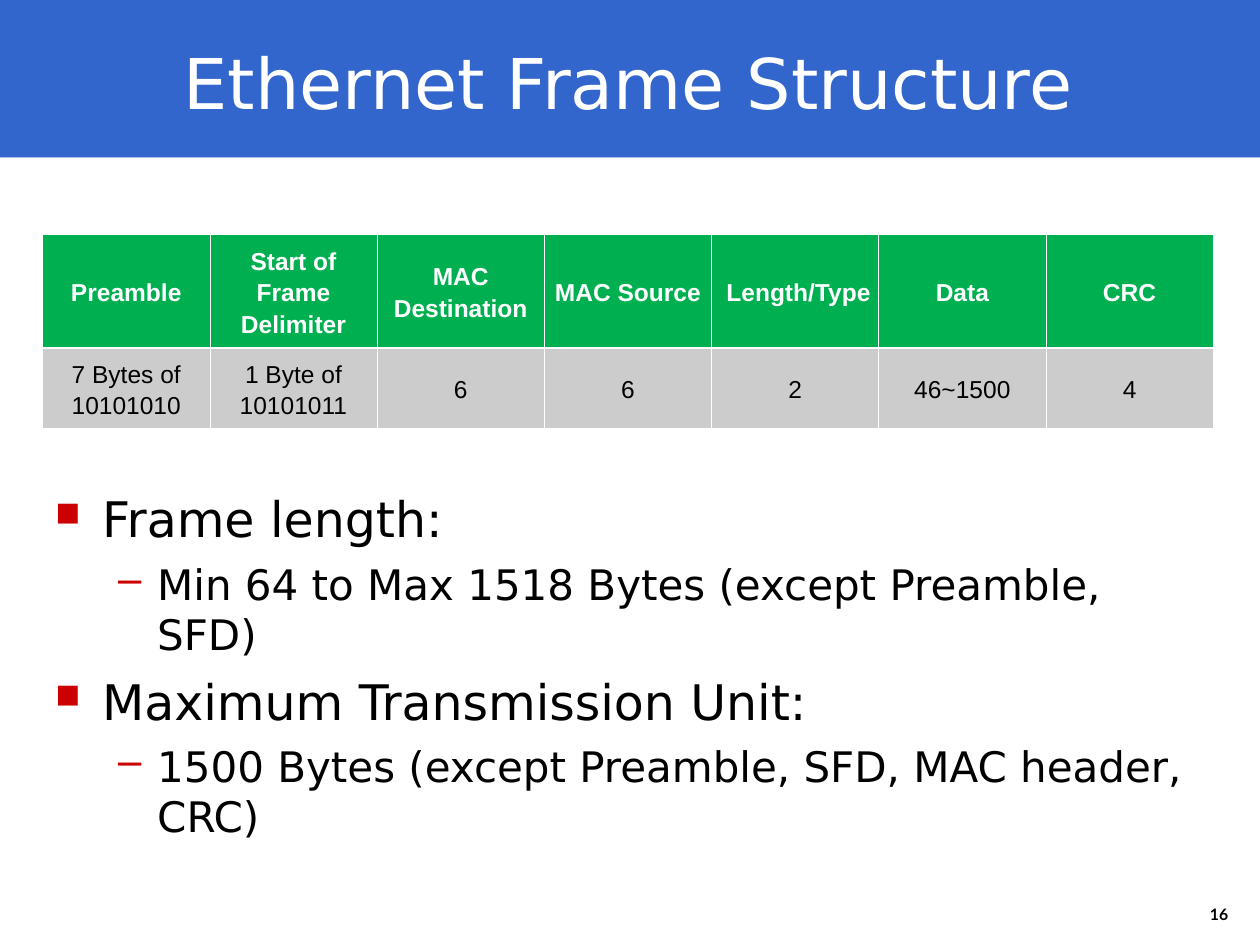
"""Build the Ethernet frame structure slide."""
from lxml import etree
from pptx import Presentation
from pptx.dml.color import RGBColor
from pptx.enum.shapes import MSO_SHAPE
from pptx.enum.text import MSO_ANCHOR, PP_ALIGN
from pptx.oxml.ns import qn
from pptx.util import Cm, Pt

RECT = MSO_SHAPE.RECTANGLE
TOP, MIDDLE, BOTTOM = MSO_ANCHOR.TOP, MSO_ANCHOR.MIDDLE, MSO_ANCHOR.BOTTOM
LEFT, CENTER, RIGHT = PP_ALIGN.LEFT, PP_ALIGN.CENTER, PP_ALIGN.RIGHT

TITLE = "Ethernet Frame Structure"
PAGE = "16"
FIELDS = [
    ("Preamble", "7 Bytes of 10101010"),
    ("Start of Frame Delimiter", "1 Byte of 10101011"),
    ("MAC Destination", "6"),
    ("MAC Source", "6"),
    (" Length/Type", "2"),
    ("Data", "46~1500"),
    ("CRC", "4"),
]
NOTES = [
    (0, "Frame length:"),
    (1, "Min 64 to Max 1518 Bytes (except Preamble, SFD)"),
    (0, "Maximum Transmission Unit:"),
    (1, "1500 Bytes (except Preamble, SFD, MAC header, CRC)"),
]

THEME = {
    "band": "3366CC", "paper": "FFFFFF", "ink": "000000", "bullet": "CC0000",
    "head": "00B050", "cell": "CCCCCC",
    "title": ("DejaVu Sans", 40), "table": ("Arial", 14), "page": ("Lato", 9),
    "levels": [("DejaVu Sans", 28), ("DejaVu Sans", 24)],
}
LEVELS = [
    {"margin": 0.95, "hang": 0.95, "before": 7, "char": "■", "size": 70},
    {"margin": 2.06, "hang": 0.79, "before": 6, "char": "–", "size": 100},
]
WIDTH, HEIGHT, BAND = 25.4, 19.05, 3.18
X, W = 0.86, 23.6
ROWS = (2.21, 1.53)
THIN, THICK = 0.45, 1.47


def rgb(name):
    return RGBColor.from_string(THEME[name])


def style(p, font, color, align, bold=False):
    p.alignment = align
    for r in p.runs:
        r.font.name, r.font.size = font[0], Pt(font[1])
        r.font.bold = bold
        r.font.color.rgb = rgb(color)


def add_rect(slide, top, height, color):
    sp = slide.shapes.add_shape(RECT, 0, Cm(top), Cm(WIDTH), Cm(height))
    sp.shadow.inherit = False
    sp.fill.solid()
    sp.fill.fore_color.rgb = rgb(color)
    sp.line.fill.background()


def add_text(slide, box, anchor):
    tf = slide.shapes.add_textbox(*map(Cm, box)).text_frame
    tf.word_wrap = True
    tf.vertical_anchor = anchor
    return tf


def add_line(slide, box, anchor, text, font, color, align, bold=False):
    tf = add_text(slide, box, anchor)
    tf.text = text
    style(tf.paragraphs[0], font, color, align, bold)


def add_bullet(p, level):
    pPr = p._p.get_or_add_pPr()
    pPr.set("marL", str(Cm(level["margin"])))
    pPr.set("indent", str(-Cm(level["hang"])))
    color = etree.SubElement(pPr, qn("a:buClr"))
    etree.SubElement(color, qn("a:srgbClr"), val=THEME["bullet"])
    etree.SubElement(pPr, qn("a:buSzPct"), val=str(level["size"] * 1000))
    etree.SubElement(pPr, qn("a:buChar"), char=level["char"])


def add_borders(cell, widths):
    tcPr = cell._tc.get_or_add_tcPr()
    for side, width in widths.items():
        ln = etree.SubElement(tcPr, qn(f"a:ln{side}"), w=str(Pt(width)))
        fill = etree.SubElement(ln, qn("a:solidFill"))
        etree.SubElement(fill, qn("a:srgbClr"), val=THEME["paper"])


def add_frame_table(slide):
    table = slide.shapes.add_table(
        len(ROWS), len(FIELDS), Cm(X), Cm(4.72), Cm(W), Cm(sum(ROWS))).table
    for row, height in zip(table.rows, ROWS):
        row.height = Cm(height)
    for col, texts in enumerate(FIELDS):
        table.columns[col].width = Cm(W / len(FIELDS))
        for row, text in enumerate(texts):
            head = row == 0
            cell = table.cell(row, col)
            add_borders(cell, {"L": THIN, "R": THIN,
                               "T": THIN if head else THICK,
                               "B": THICK if head else THIN})
            cell.fill.solid()
            cell.fill.fore_color.rgb = rgb("head" if head else "cell")
            cell.vertical_anchor = MIDDLE
            cell.margin_left = cell.margin_right = Cm(0.08)
            cell.text = text
            p = cell.text_frame.paragraphs[0]
            p.line_spacing = 1.15
            style(p, THEME["table"], "paper" if head else "ink", CENTER, head)


def add_notes(slide):
    tf = add_text(slide, (X, 9.73, W, 7.24), TOP)
    for i, (depth, text) in enumerate(NOTES):
        p = tf.add_paragraph() if i else tf.paragraphs[0]
        p.text = text
        p.level = depth
        add_bullet(p, LEVELS[depth])
        p.space_before = Pt(LEVELS[depth]["before"] if i else 0)
        style(p, THEME["levels"][depth], "ink", LEFT)


def main():
    prs = Presentation()
    prs.slide_width, prs.slide_height = Cm(WIDTH), Cm(HEIGHT)
    s = prs.slides.add_slide(prs.slide_layouts[6])
    add_rect(s, 0, BAND, "band")
    add_rect(s, BAND, HEIGHT - BAND, "paper")
    add_line(s, (22.17, 17.96, 2.84, 0.79), BOTTOM, PAGE,
             THEME["page"], "ink", RIGHT, True)
    add_line(s, (X, 0.15, W, 2.97), MIDDLE, TITLE,
             THEME["title"], "paper", CENTER)
    add_notes(s)
    add_frame_table(s)
    prs.save("out.pptx")


if __name__ == "__main__":
    main()
